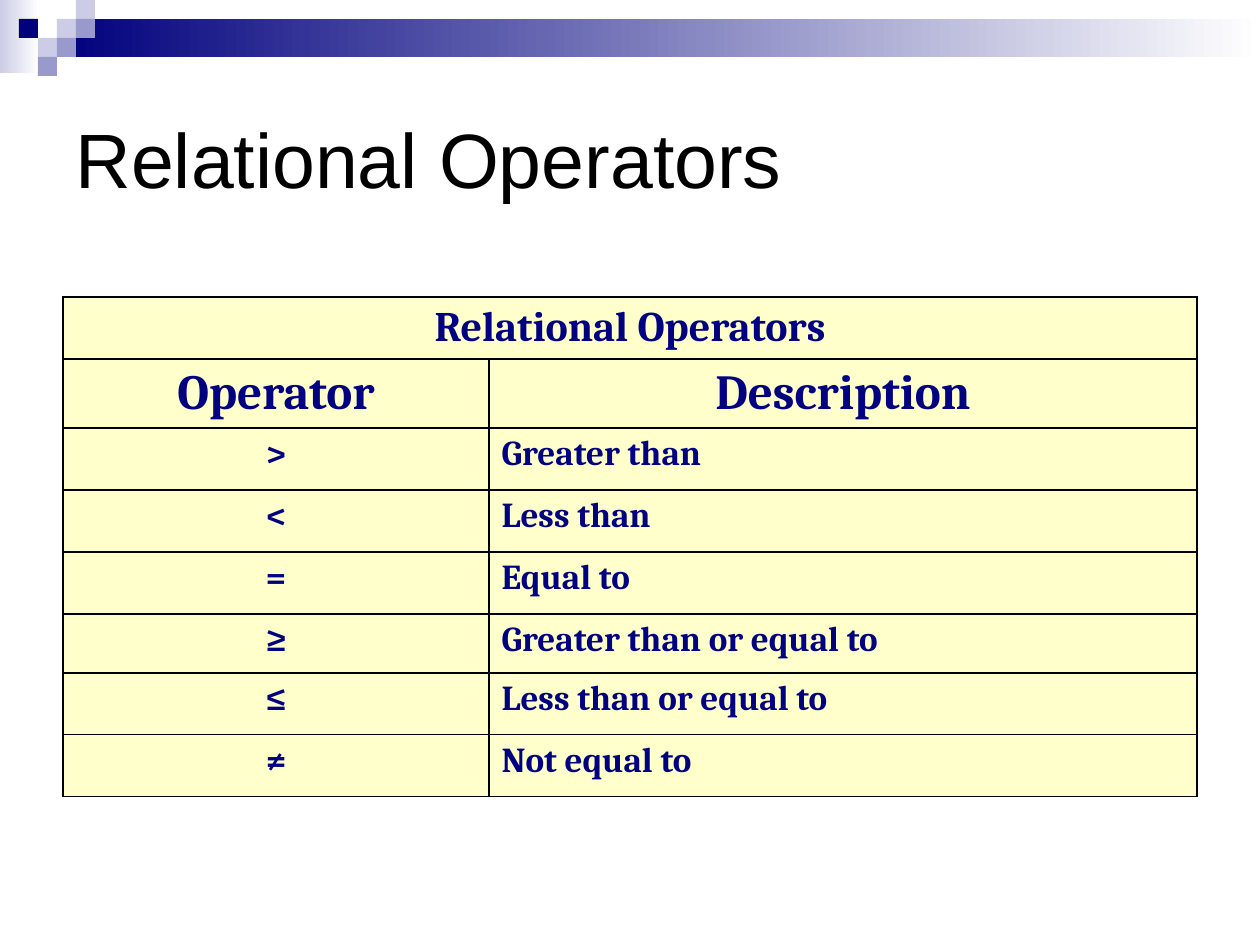
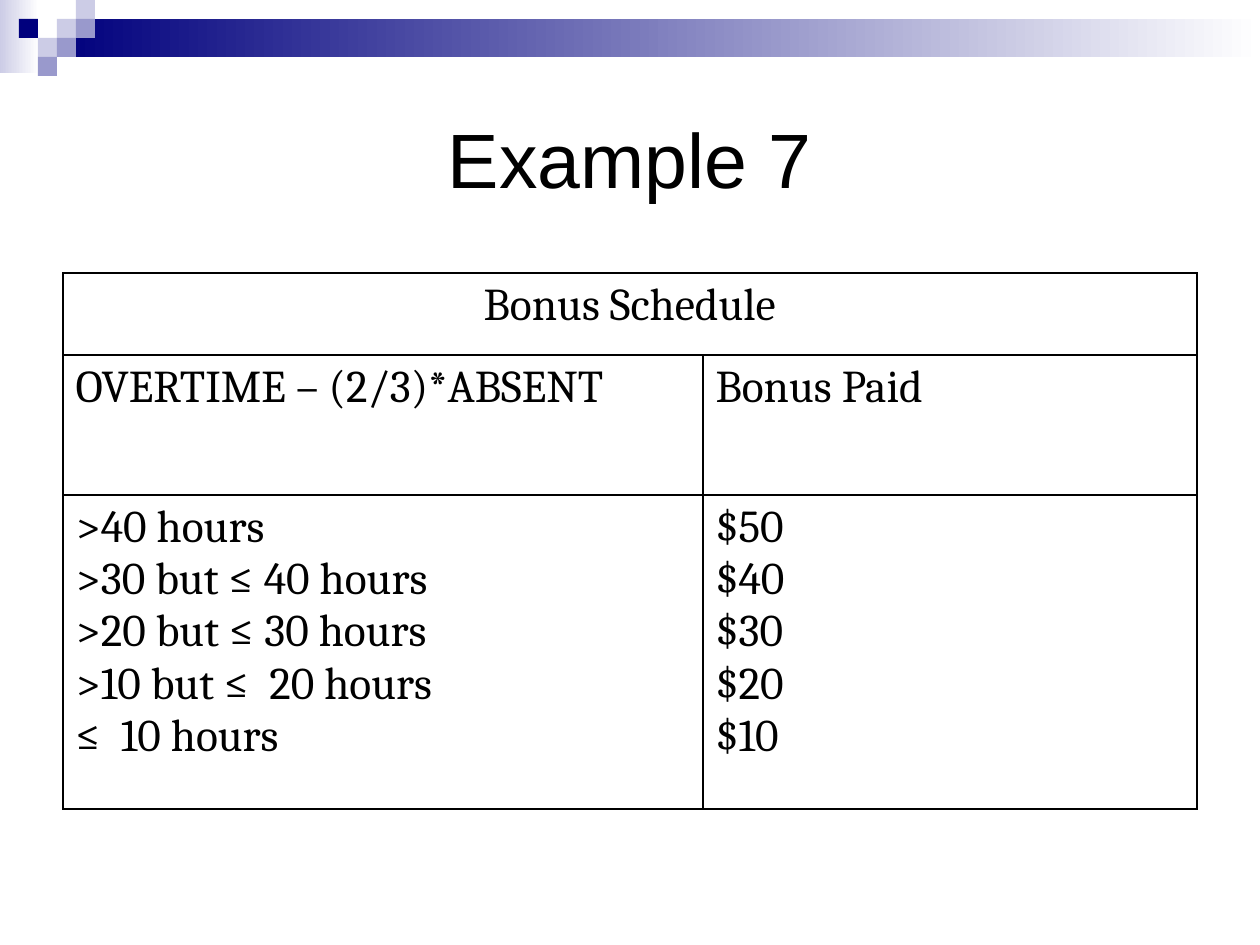
from lxml import etree
from pptx import Presentation
from pptx import util as u
from pptx.dml.color import RGBColor
from pptx.enum import shapes, text
from pptx.oxml import ns

# Content
RELATION = [
    ["Relational Operators", ""],
    ["Operator", "Description"],
    [">", "Greater than"],
    ["<", "Less than"],
    ["=", "Equal to"],
    ["≥", "Greater than or equal to"],
    ["≤", "Less than or equal to"],
    ["≠", "Not equal to"],
]
HOURS = [">40 hours", ">30 but ≤ 40 hours", ">20 but ≤ 30 hours",
         ">10 but ≤  20 hours", "≤  10 hours"]
BONUS = [
    ["Bonus Schedule", ""],
    ["OVERTIME – (2/3)*ABSENT", "Bonus Paid"],
    ["\n".join(HOURS), "\n".join(f"${pay}" for pay in range(50, 0, -10))],
]

# Look
HEX = {"navy": "00007D", "mid": "9999CC", "pale": "CCCCE6", "white": "FFFFFF",
       "ink": "000080", "cream": "FFFFCC", "black": "000000"}
LEFT, MID = text.PP_ALIGN.LEFT, text.PP_ALIGN.CENTER
SLIDES = [
    {"title": "Relational Operators", "align": LEFT, "rows": RELATION,
     "top": 297, "cols": [426, 708], "high": [62] * 5 + [59, 62, 62],
     "sizes": [24, 28] + [20] * 6, "bold": True, "color": "ink",
     "fill": "cream", "mid": lambda row, col: row < 2 or col == 0},
    {"title": "Example 7", "align": MID, "rows": BONUS,
     "top": 273, "cols": [640, 494], "high": [82, 140, 314],
     "sizes": [26] * 3, "bold": False, "color": "black",
     "fill": None, "mid": lambda row, col: row == 0},
]
WIDE, TALL, EDGE, INDENT = 1260, 945, 63, 48
STEP = 19  # side of one square in the corner pattern
FADES = [("pale", 0, 0, 39, 73), ("navy", 3 * STEP, STEP, WIDE - 3 * STEP, 2 * STEP)]
SQUARES = [("pale", 3, 1), ("pale", 4, 0), ("mid", 4, 1), ("pale", 2, 2),
           ("navy", 1, 1), ("mid", 3, 2), ("mid", 2, 3)]


def px(num):
    """Turn pixels into EMU."""
    return u.Emu(round(num * 914400 / 126))


def rgb(name):
    """Look up a colour by name."""
    return RGBColor.from_string(HEX[name])


def style(obj, **vals):
    """Set several attributes on one object."""
    for key, val in vals.items():
        setattr(obj, key, val)


def ink(font, name, size, color, bold=False):
    """Format a font."""
    style(font, name=name, size=u.Pt(size), bold=bold)
    font.color.rgb = rgb(color)


def block(slide, color, box, fade=False):
    """Draw one plain or fading rectangle without outline."""
    shape = slide.shapes.add_shape(shapes.MSO_SHAPE.RECTANGLE, *map(px, box))
    shape.shadow.inherit = False
    shape.line.fill.background()
    if fade:
        shape.fill.gradient()
        shape.fill.gradient_angle = 0
        for stop, name, pos in zip(shape.fill.gradient_stops, (color, "white"), (0, 1)):
            stop.color.rgb = rgb(name)
            stop.position = pos
    else:
        shape.fill.solid()
        shape.fill.fore_color.rgb = rgb(color)
    return shape


def band(slide, layout):
    """Draw the top band once and hand it to the shared layout."""
    parts = [block(slide, color, box, True) for color, *box in FADES]
    parts += [block(slide, color, (col * STEP, row * STEP, STEP, STEP))
              for color, col, row in SQUARES]
    for num, part in enumerate(parts):
        part.element.nvSpPr.cNvPr.id = 20 + num
        layout.shapes.element.insert(2 + num, part.element)


def head(slide, words, align):
    """Place and format the title."""
    title = slide.shapes.title
    style(title, left=px(EDGE), top=px(EDGE), width=px(WIDE - 2 * EDGE), height=px(189))
    frame = title.text_frame
    style(frame, text=words, word_wrap=True, auto_size=text.MSO_AUTO_SIZE.NONE,
          vertical_anchor=text.MSO_ANCHOR.MIDDLE)
    para = frame.paragraphs[0]
    para.alignment = align
    ink(para.runs[0].font, "Arial", 44, "black")


def border(cell):
    """Give a cell thin black lines on all sides."""
    prop = cell._tc.get_or_add_tcPr()
    for side in "LRTB":
        line = etree.SubElement(prop, ns.qn(f"a:ln{side}"), w=str(u.Pt(1)))
        fill = etree.SubElement(line, ns.qn("a:solidFill"))
        etree.SubElement(fill, ns.qn("a:srgbClr"), val=HEX["black"])


def grid(slide, data):
    """Build a two-column table under one merged heading."""
    rows, cols, high = data["rows"], data["cols"], data["high"]
    box = (EDGE, data["top"], sum(cols), sum(high))
    table = slide.shapes.add_table(len(rows), len(cols), *map(px, box)).table
    style(table, first_row=False, horz_banding=False)
    for col, wide in zip(table.columns, cols):
        col.width = px(wide)
    for row, tall in zip(table.rows, high):
        row.height = px(tall)
    table.cell(0, 0).merge(table.cell(0, 1))
    for y, row in enumerate(rows):
        for x, words in enumerate(row):
            cell = table.cell(y, x)
            border(cell)
            if data["fill"]:
                cell.fill.solid()
                cell.fill.fore_color.rgb = rgb(data["fill"])
            else:
                cell.fill.background()
            if not words:
                continue
            cell.text_frame.text = words
            for para in cell.text_frame.paragraphs:
                para.alignment = MID if data["mid"](y, x) else LEFT
                prop = para._p.get_or_add_pPr()
                prop.set("marL", str(px(INDENT)))
                prop.set("indent", str(-px(INDENT)))
                ink(para.runs[0].font, "Cambria", data["sizes"][y],
                    data["color"], data["bold"])


def main():
    """Build and save the deck."""
    deck = Presentation()
    style(deck, slide_width=px(WIDE), slide_height=px(TALL))
    layout = deck.slide_layouts[5]
    for num, data in enumerate(SLIDES):
        slide = deck.slides.add_slide(layout)
        if num == 0:
            band(slide, layout)
        head(slide, data["title"], data["align"])
        grid(slide, data)
    deck.save("out.pptx")


main()
